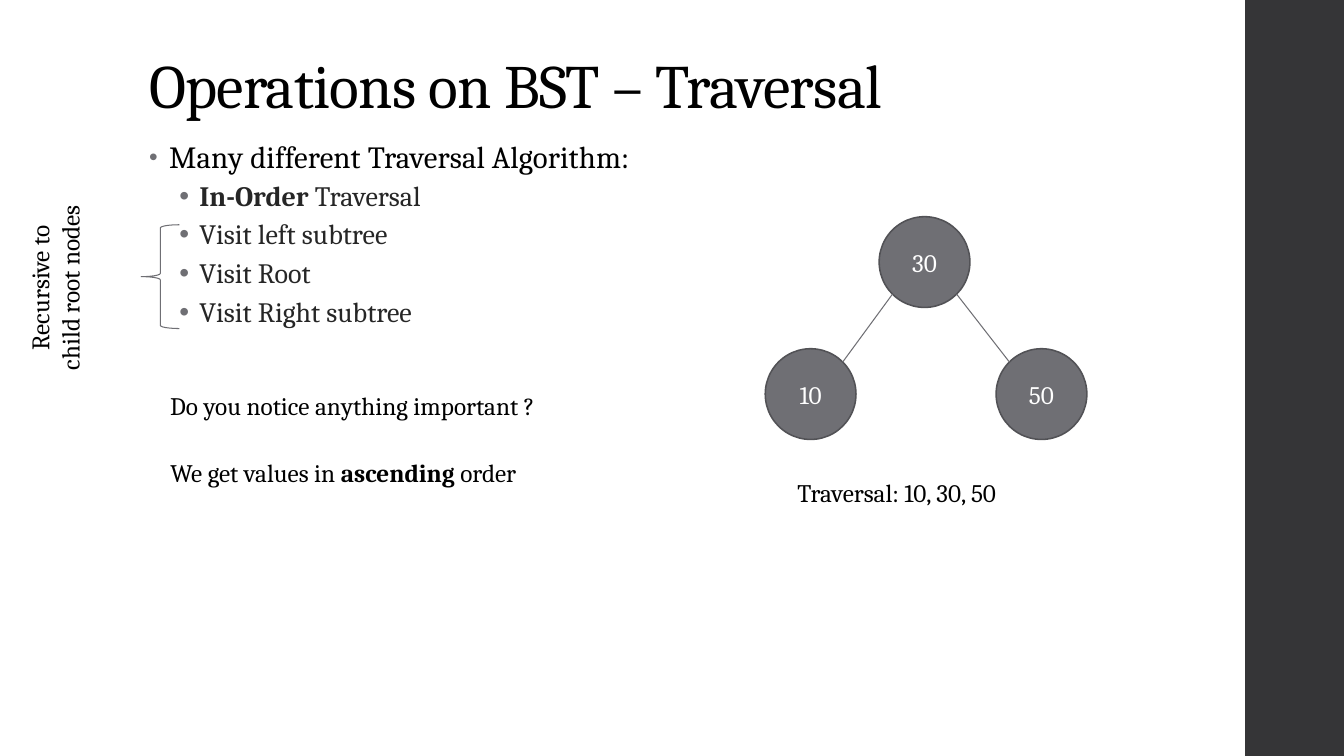
from math import sqrt
from pptx import Presentation
from pptx.dml.color import RGBColor
from pptx.enum.shapes import MSO_CONNECTOR, MSO_SHAPE
from pptx.enum.text import MSO_ANCHOR as ANCHOR, PP_ALIGN as ALIGN
from pptx.oxml.ns import qn
from pptx.util import Emu, Pt
from lxml.etree import SubElement

FONT = "Cambria"
GREY, EDGE, BAND, BLACK, INK, WHITE = "6F6F74", "525256", "353537", "000000", "262626", "FFFFFF"


def px(n):
    """Convert px, at 100 to the inch, to EMU."""
    return Emu(round(n * 9144))


def color(value):
    """Turn a hex string into a colour."""
    return RGBColor.from_string(value)


def write(p, text, size=18, fill=BLACK, bold=False, spacing=0):
    """Add a formatted run to a paragraph."""
    r = p.add_run()
    r.text = text
    r.font.name, r.font.size, r.font.bold = FONT, Pt(size), bold
    r.font.color.rgb = color(fill)
    if spacing:
        r._r.get_or_add_rPr().set("spc", str(spacing))


def add_bullet(p, indent, size):
    """Give a paragraph a hanging grey bullet."""
    pPr = p._p.get_or_add_pPr()
    pPr.set("marL", str(px(indent)))
    pPr.set("indent", str(px(-20)))
    SubElement(SubElement(pPr, qn("a:buClr")), qn("a:srgbClr")).set("val", GREY)
    SubElement(pPr, qn("a:buSzPct")).set("val", str(size * 1000))
    SubElement(pPr, qn("a:buFont")).set("typeface", "Arial")
    SubElement(pPr, qn("a:buChar")).set("char", "•")


def add_shape(slide, kind, box, fill=None, line=None, width=1):
    """Add a preset shape without a shadow."""
    sp = slide.shapes.add_shape(kind, *map(px, box))
    sp.shadow.inherit = False
    if fill:
        sp.fill.solid()
        sp.fill.fore_color.rgb = color(fill)
    else:
        sp.fill.background()
    if line:
        sp.line.color.rgb = color(line)
        sp.line.width = Pt(width)
    else:
        sp.line.fill.background()
    return sp


def add_text(slide, box, lines, align=ALIGN.LEFT):
    """Add a text box; each line is a list of (text, bold) runs."""
    sp = slide.shapes.add_textbox(*map(px, box))
    tf = sp.text_frame
    tf.word_wrap = True
    for i, runs in enumerate(lines):
        p = tf.add_paragraph() if i else tf.paragraphs[0]
        p.alignment = align
        for text, bold in runs:
            write(p, text, bold=bold)
    return sp


def add_title(slide, box, text):
    """Place and format the title placeholder."""
    sp = slide.shapes.title
    sp.left, sp.top, sp.width, sp.height = map(px, box)
    tf = sp.text_frame
    tf.word_wrap, tf.vertical_anchor = True, ANCHOR.BOTTOM
    p = tf.paragraphs[0]
    p.alignment, p.line_spacing = ALIGN.LEFT, 0.9
    write(p, text, size=44, spacing=-50)


def add_outline(slide, box, heading, steps):
    """Add the bulleted heading and its steps."""
    tf = slide.shapes.add_textbox(*map(px, box)).text_frame
    tf.word_wrap = True
    p = tf.paragraphs[0]
    add_bullet(p, 20, 80)
    p.line_spacing, p.space_after = 0.95, Pt(2)
    write(p, heading, size=22, spacing=10)
    for runs in steps:
        p = tf.add_paragraph()
        p.level = 1
        add_bullet(p, 50, 100)
        p.line_spacing, p.space_before, p.space_after = 0.9, Pt(3), Pt(3)
        for text, bold in runs:
            write(p, text, size=20, fill=INK, bold=bold)


def add_recursion_note(slide, box):
    """Add the brace around the steps and its upright label."""
    left, top, width, height = box
    add_shape(slide, MSO_SHAPE.LEFT_BRACE, (left + 121, top + 43, 38, 103), line=GREY, width=0.75)
    lines = [[("Recursive to", False)], [("child root nodes", False)]]
    label = add_text(slide, (left + 35.5 - height / 2, top + height / 2 - 35.5, height, 71),
                     lines, ALIGN.CENTER)
    label.rotation = 270


def add_node(slide, box, value):
    """Add a round tree node."""
    sp = add_shape(slide, MSO_SHAPE.OVAL, box, GREY, EDGE, 1.1)
    tf = sp.text_frame
    tf.vertical_anchor = ANCHOR.MIDDLE
    p = tf.paragraphs[0]
    p.alignment = ALIGN.CENTER
    write(p, value, fill=WHITE)


def add_edge(slide, start, end):
    """Add a straight tree edge."""
    line = slide.shapes.add_connector(MSO_CONNECTOR.STRAIGHT, *map(px, start + end))
    line.line.color.rgb = color(GREY)
    line.line.width = Pt(0.75)
    SubElement(line._element.spPr, qn("a:effectLst"))


def add_tree(slide, box):
    """Add the root, its two children, the edges and the result."""
    left, top, width, height = box
    size = 90
    radius = size / 2
    reach = radius / sqrt(2)
    root = (left + 113, top)
    child_top = top + 131
    add_node(slide, (*root, size, size), "30")
    for x, value, side in ((left, "10", -1), (left + width - size, "50", 1)):
        add_node(slide, (x, child_top, size, size), value)
        add_edge(slide, (root[0] + radius + side * reach, root[1] + radius + reach),
                 (x + radius - side * reach, child_top + radius - reach))
    add_text(slide, (left + 22, top + height - 40, 259, 40), [[("Traversal: 10, 30, 50", False)]])


def add_traversal_slide(prs):
    """Build the traversal slide."""
    slide = prs.slides.add_slide(prs.slide_layouts[5])
    add_shape(slide, MSO_SHAPE.RECTANGLE, (1235, 0, 98, 750), BAND)
    add_title(slide, (138, 40, 1060, 86), "Operations on BST – Traversal")
    steps = [[("In-Order", True), (" Traversal", False)]]
    steps += [[(f"Visit {part}", False)] for part in ("left subtree", "Root", "Right subtree")]
    add_outline(slide, (138, 134, 643, 576), "Many different Traversal Algorithm:", steps)
    add_tree(slide, (759, 215, 319, 294))
    add_recursion_note(slide, (19, 180, 159, 211))
    add_text(slide, (159, 382, 433, 40), [[("Do you notice anything important ?", False)]])
    add_text(slide, (159, 449, 422, 40),
             [[("We get values in ", False), ("ascending ", True), ("order", False)]])


def main():
    """Create and save the presentation."""
    prs = Presentation()
    prs.slide_width, prs.slide_height = px(1333), px(750)
    add_traversal_slide(prs)
    prs.save("out.pptx")


if __name__ == "__main__":
    main()
